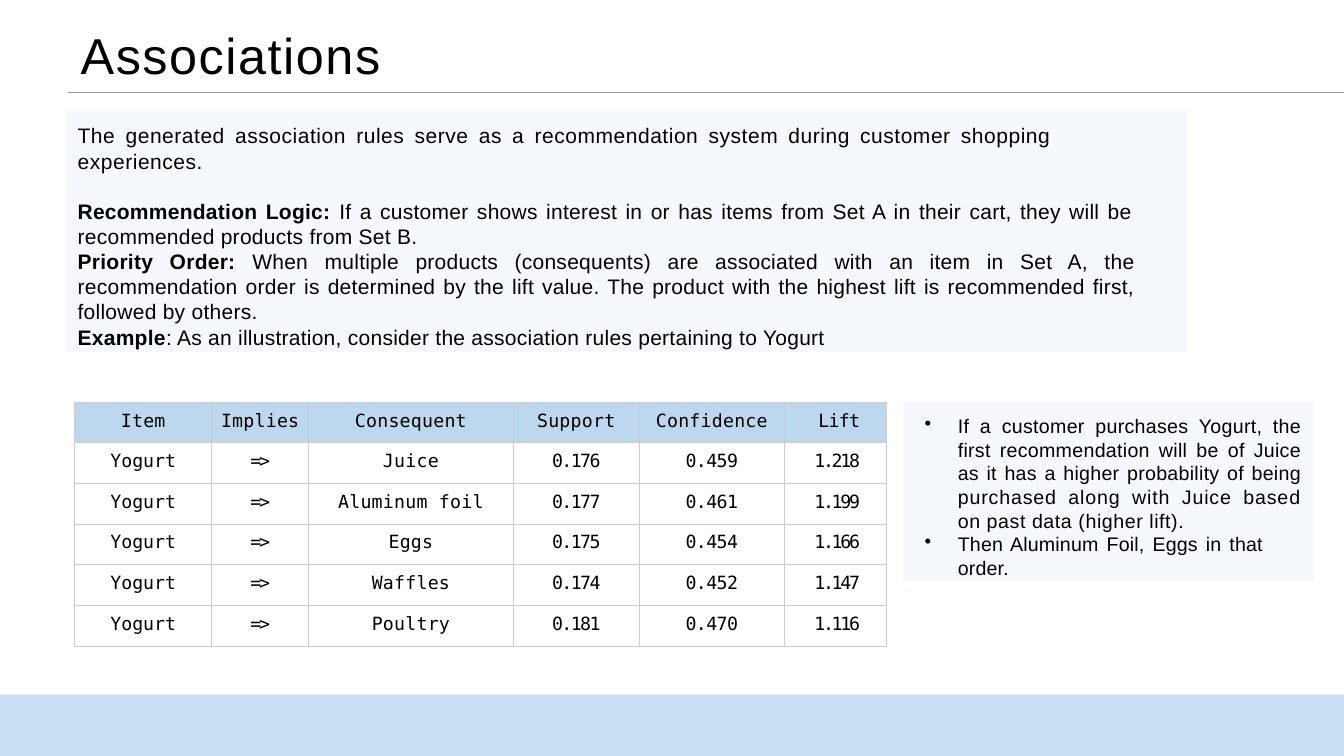
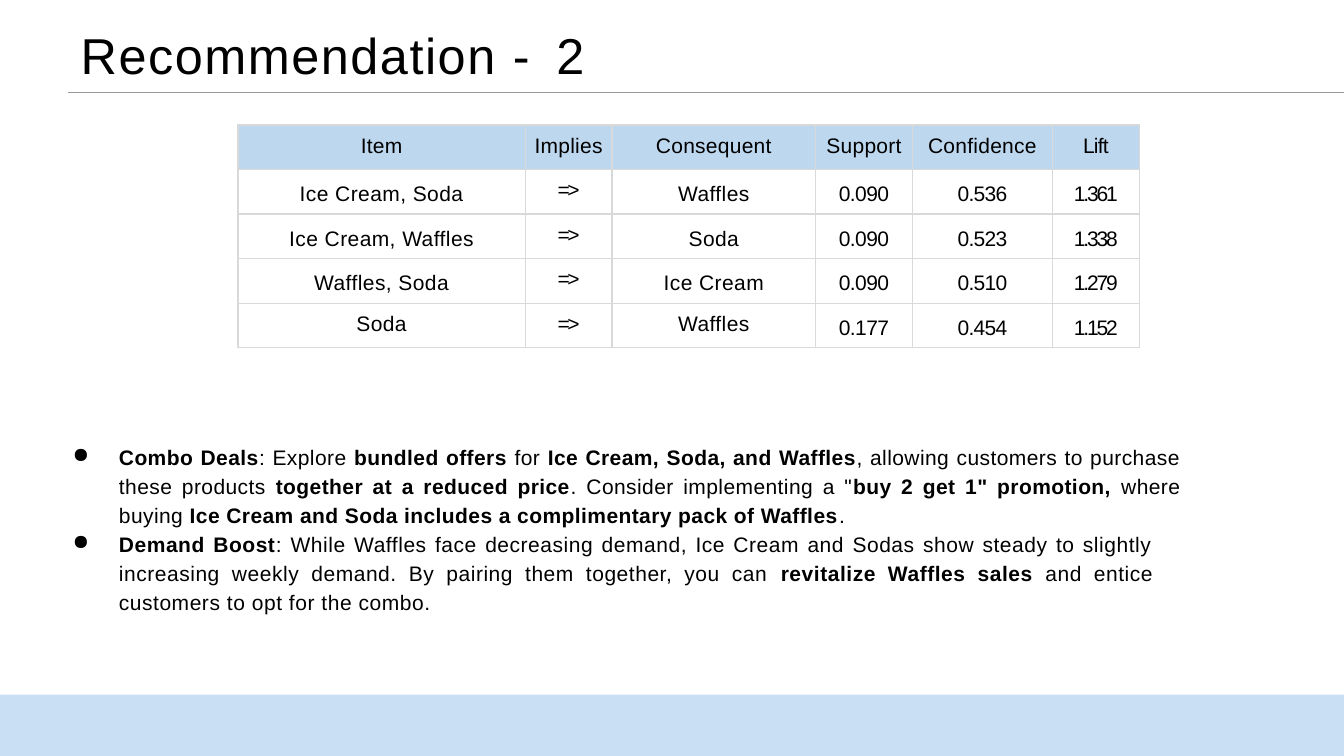
"""Build two slides on association rules and product recommendations."""
from dataclasses import dataclass

from lxml import etree
from pptx import Presentation
from pptx.dml.color import RGBColor
from pptx.enum.shapes import MSO_CONNECTOR, MSO_SHAPE
from pptx.enum.text import MSO_ANCHOR, PP_ALIGN
from pptx.oxml.ns import qn
from pptx.util import Inches, Pt

CENTER, JUSTIFY, LEFT, RIGHT = PP_ALIGN.CENTER, PP_ALIGN.JUSTIFY, PP_ALIGN.LEFT, PP_ALIGN.RIGHT
TOP, MIDDLE = MSO_ANCHOR.TOP, MSO_ANCHOR.MIDDLE
RECTANGLE, STRAIGHT = MSO_SHAPE.RECTANGLE, MSO_CONNECTOR.STRAIGHT


@dataclass(frozen=True)
class Theme:
    """Colours, fonts and type sizes shared by the slides."""
    ink: str = "000000"
    tint: str = "1975D1"
    header: str = "BDD7EE"
    rule: str = "999999"
    grid: str = "CCCCCC"
    pale_grid: str = "D9D9D9"
    panel_alpha: int = 4
    band_alpha: int = 23
    sans: str = "Arial"
    mono: str = "DejaVu Sans Mono"
    title: int = 36
    body: int = 15
    note: int = 14
    code: int = 13


THEME = Theme()


@dataclass(frozen=True)
class Paragraph:
    """A paragraph as phrases of text, weight and letter spacing."""
    phrases: list
    left: float = 0.12
    right: float = 0
    hanging: float = 0
    bullet: str = ""
    align: object = JUSTIFY
    format: tuple = ()


@dataclass(frozen=True)
class RuleTable:
    """The geometry and type of a table of association rules."""
    box: tuple
    widths: tuple
    spacing: tuple
    header_spacing: tuple
    font: str
    size: int
    grid: str
    border: float
    raised_inset: float
    text_inset: float
    lift_align: object = CENTER
    lift_inset: float = 0


HEADINGS = ("Item", "Implies", "Consequent", "Support", "Confidence", "Lift")
YOGURT_RULES = [
    ("Yogurt", "=>", "Juice", "0.176", "0.459", "1.218"),
    ("Yogurt", "=>", "Aluminum foil", "0.177", "0.461", "1.199"),
    ("Yogurt", "=>", "Eggs", "0.175", "0.454", "1.166"),
    ("Yogurt", "=>", "Waffles", "0.174", "0.452", "1.147"),
    ("Yogurt", "=>", "Poultry", "0.181", "0.470", "1.116"),
]
COMBO_RULES = [
    ("Ice Cream, Soda", "=>", "Waffles", "0.090", "0.536", "1.361"),
    ("Ice Cream, Waffles", "=>", "Soda", "0.090", "0.523", "1.338"),
    ("Waffles, Soda", "=>", "Ice Cream", "0.090", "0.510", "1.279"),
    ("Soda", "=>", "Waffles", "0.177", "0.454", "1.152"),
]
YOGURT_TABLE = RuleTable(
    box=(0.74, 3.99, 8.05, 2.42), widths=(1.36, 0.96, 2.03, 1.25, 1.44, 1.01),
    spacing=(0, -1.6, 0.2, -1.1, -0.4, -1.6), header_spacing=(0.2,) * 5 + (-0.5,),
    font=THEME.mono, size=THEME.code, grid=THEME.grid, border=0.75,
    raised_inset=0.08, text_inset=0.08, lift_align=RIGHT, lift_inset=0.26)
COMBO_TABLE = RuleTable(
    box=(2.36, 1.24, 8.93, 2.21), widths=(2.85, 0.86, 2.02, 0.96, 1.39, 0.86),
    spacing=(0.3, -1.9, 0.3, -0.4, -0.5, -1.5), header_spacing=(0.2,) * 5 + (-0.6,),
    font=THEME.sans, size=THEME.body, grid=THEME.pale_grid, border=1,
    raised_inset=0.09, text_inset=0.13)


def assign(target, values):
    """Set attributes of an object from a dict."""
    for name, value in values.items():
        setattr(target, name, value)


def words(markup, spacing=0.2):
    """Split text with **bold** marks into phrases."""
    return [(text, index % 2 == 1, spacing)
            for index, text in enumerate(markup.split("**")) if text]


def write_paragraph(target, content, font, size):
    """Fill a paragraph with formatted phrases."""
    properties = target._p.get_or_add_pPr()
    indents = {"marL": content.left, "marR": content.right, "indent": -content.hanging}
    for name, length in indents.items():
        properties.set(name, str(Inches(length)))
    if content.bullet:
        etree.SubElement(properties, qn("a:buChar"), char=content.bullet)
    assign(target, {"alignment": content.align, **dict(content.format)})
    for text, bold, spacing in content.phrases:
        run = target.add_run()
        run.text = text
        assign(run.font, {"name": font, "size": Pt(size), "bold": bold})
        run.font.color.rgb = RGBColor.from_string(THEME.ink)
        run.font._element.set("spc", str(round(spacing * 100)))


def write_text(frame, paragraphs, size, inset, anchor=TOP):
    """Write paragraphs into a text frame with only a top inset."""
    assign(frame, {"word_wrap": True, "vertical_anchor": anchor, "margin_left": 0,
                   "margin_right": 0, "margin_bottom": 0, "margin_top": Inches(inset)})
    for index, content in enumerate(paragraphs):
        target = frame.add_paragraph() if index else frame.paragraphs[0]
        write_paragraph(target, content, THEME.sans, size)


def add_tinted(slide, box, alpha):
    """Add a rectangle in the transparent tint."""
    area = slide.shapes.add_shape(RECTANGLE, *map(Inches, box))
    area.shadow.inherit = False
    area.line.fill.background()
    area.fill.solid()
    area.fill.fore_color.rgb = RGBColor.from_string(THEME.tint)
    colour = area.fill._xPr.find(".//" + qn("a:srgbClr"))
    etree.SubElement(colour, qn("a:alpha"), val=str(alpha * 1000))
    return area


def add_panel(slide, box, paragraphs, size):
    """Add a pale panel of text."""
    panel = add_tinted(slide, box, THEME.panel_alpha)
    write_text(panel.text_frame, paragraphs, size, 0.12)


def add_text(slide, box, paragraphs, size, anchor=TOP):
    """Add text without a background."""
    area = slide.shapes.add_textbox(*map(Inches, box))
    write_text(area.text_frame, paragraphs, size, 0.02, anchor)


def border_cell(cell, colour, width):
    """Draw the four borders of a table cell."""
    properties = cell._tc.get_or_add_tcPr()
    for side in ("lnL", "lnR", "lnT", "lnB"):
        edge = etree.SubElement(properties, qn("a:" + side), w=str(Pt(width)))
        fill = etree.SubElement(edge, qn("a:solidFill"))
        etree.SubElement(fill, qn("a:srgbClr"), val=colour)


def add_rules(slide, design, rules):
    """Add a table of association rules."""
    rows = [HEADINGS, *rules]
    table = slide.shapes.add_table(
        len(rows), len(HEADINGS), *map(Inches, design.box)).table
    assign(table, {"first_row": False, "horz_banding": False})
    for column, width in zip(table.columns, design.widths):
        column.width = Inches(width)
    for row_index, values in enumerate(rows):
        heading, last = row_index == 0, row_index == len(rows) - 1
        table.rows[row_index].height = Inches(design.box[3] / len(rows))
        spacings = design.header_spacing if heading else design.spacing
        for column, (value, spacing) in enumerate(zip(values, spacings)):
            cell = table.cell(row_index, column)
            lift = column == len(HEADINGS) - 1
            raised = heading or column == 1 or (last and column <= 2)
            inset = design.raised_inset if raised else design.text_inset
            assign(cell, {"margin_left": 0, "margin_bottom": 0,
                          "margin_right": Inches(design.lift_inset if lift else 0),
                          "margin_top": Inches(inset), "vertical_anchor": TOP})
            border_cell(cell, design.grid, design.border)
            if heading:
                cell.fill.solid()
                cell.fill.fore_color.rgb = RGBColor.from_string(THEME.header)
            else:
                cell.fill.background()
            content = Paragraph(words(value, spacing), left=0,
                                align=design.lift_align if lift else CENTER)
            write_paragraph(cell.text_frame.paragraphs[0], content,
                            design.font, design.size)


def add_slide(deck, title):
    """Add a slide with its title, rule and footer band."""
    slide = deck.slides.add_slide(deck.slide_layouts[6])
    add_text(slide, (0.78, 0.21, 11.5, 0.63),
             [Paragraph(title, left=0.02, align=LEFT)], THEME.title, MIDDLE)
    add_tinted(slide, (0, 6.89, 13.33, 0.61), THEME.band_alpha)
    rule = slide.shapes.add_connector(
        STRAIGHT, Inches(0.67), Inches(0.92), Inches(13.33), Inches(0.92))
    rule.line.width = Pt(1)
    rule.line.color.rgb = RGBColor.from_string(THEME.rule)
    etree.SubElement(rule._element.spPr, qn("a:effectLst"))
    return slide


def build_associations(deck):
    """Build the slide that explains the recommendation logic."""
    slide = add_slide(deck, words("Associations", 1.1))
    add_panel(slide, (0.65, 1.1, 11.12, 2.39), [
        Paragraph(words("The generated association rules serve as a recommendation system "
                        "during customer shopping experiences.", 0.4), right=1.33),
        Paragraph(words("**Recommendation Logic:** If a customer shows interest in or has "
                        "items from Set A in their cart, they will be recommended products "
                        "from Set B."), right=0.53, format=(("space_before", Pt(17.6)),)),
        Paragraph(words("**Priority Order:** When multiple products (consequents) are "
                        "associated with an item in Set A, the recommendation order is "
                        "determined by the lift value. The product with the highest lift is "
                        "recommended first, followed by others."), right=0.5),
        Paragraph(words("**Example**: As an illustration, consider the association rules "
                        "pertaining to Yogurt")),
    ], THEME.body)
    bullet = {"left": 0.54, "hanging": 0.33, "bullet": "•"}
    add_panel(slide, (8.96, 3.99, 4.07, 1.77), [
        Paragraph(words("If a customer purchases Yogurt, the first recommendation will be of "
                        "Juice as it has a higher probability of being ")
                  + words("purchased along with Juice based ", 0.6)
                  + words("on past data (higher lift).", 0.4), right=0.12, **bullet),
        Paragraph(words("Then Aluminum Foil, Eggs in that order.", 0.1), right=0.5, **bullet),
    ], THEME.note)
    add_rules(slide, YOGURT_TABLE, YOGURT_RULES)


def build_recommendation(deck):
    """Build the slide that proposes combo deals."""
    slide = add_slide(deck, words("Recommendation ", 1.1) + words("- ", 4.5) + words("2", -0.9))
    add_rules(slide, COMBO_TABLE, COMBO_RULES)
    bullet = {"left": 0.47, "hanging": 0.46, "bullet": "●",
              "format": (("line_spacing", 1.15),)}
    add_text(slide, (0.71, 4.35, 11.1, 1.75), [
        Paragraph(words('**Combo Deals**: Explore **bundled offers** for **Ice Cream, Soda, '
                        'and Waffles**, allowing customers to purchase these products '
                        '**together at a reduced price**. Consider implementing a "**buy 2 '
                        'get 1" promotion,** where buying **Ice Cream and Soda includes a '
                        'complimentary pack of Waffles**.', 0.3), right=0.1, **bullet),
        Paragraph(words("**Demand Boost**: While Waffles face decreasing demand, Ice Cream "
                        "and Sodas show steady to slightly increasing weekly demand. By "
                        "pairing them together, you can **revitalize Waffles sales** and "
                        "entice customers to opt for the combo.", 0.4), right=0.37, **bullet),
    ], THEME.body)


def main():
    """Build and save the presentation."""
    deck = Presentation()
    assign(deck, {"slide_width": Inches(13.33), "slide_height": Inches(7.5)})
    build_associations(deck)
    build_recommendation(deck)
    deck.save("out.pptx")


if __name__ == "__main__":
    main()
